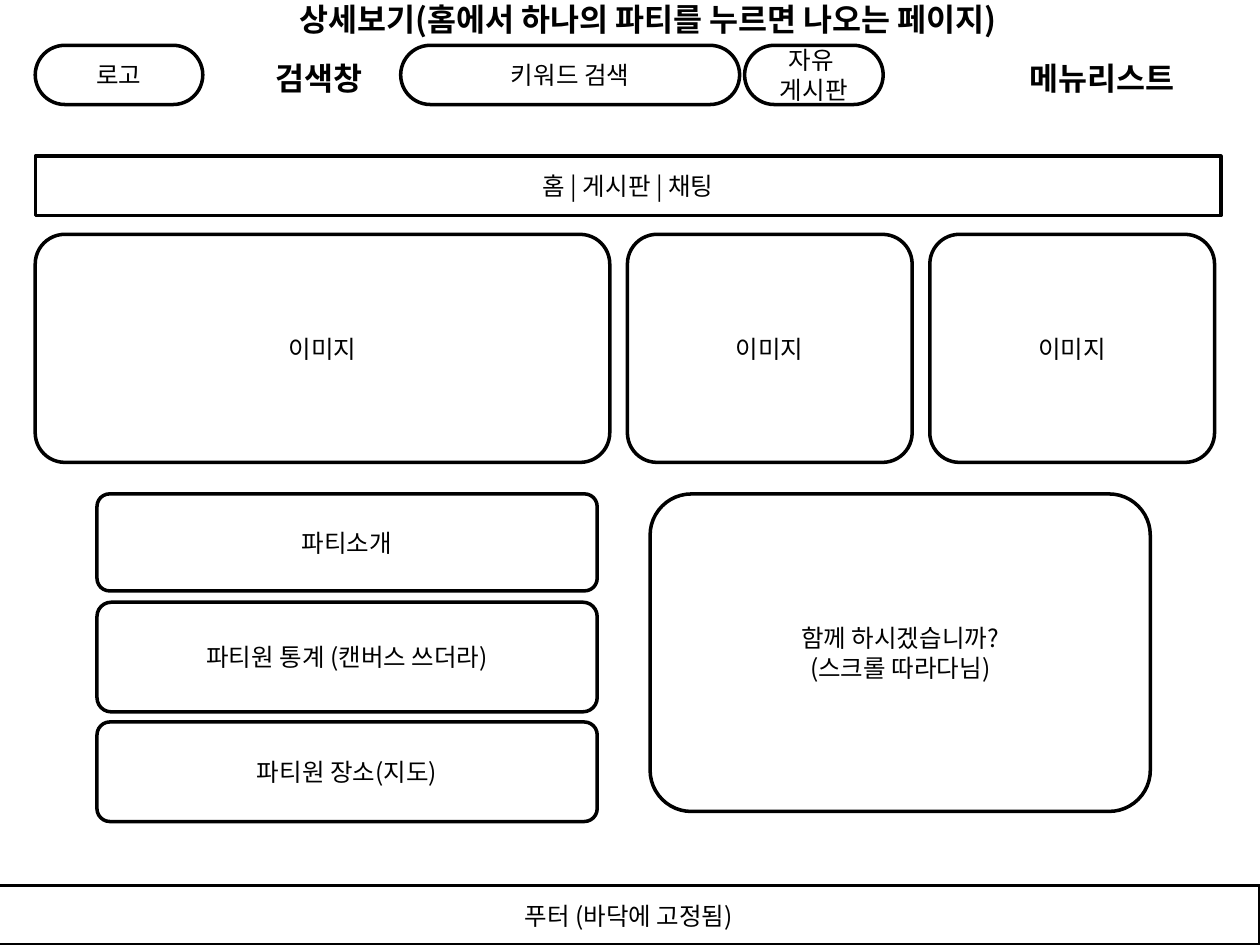
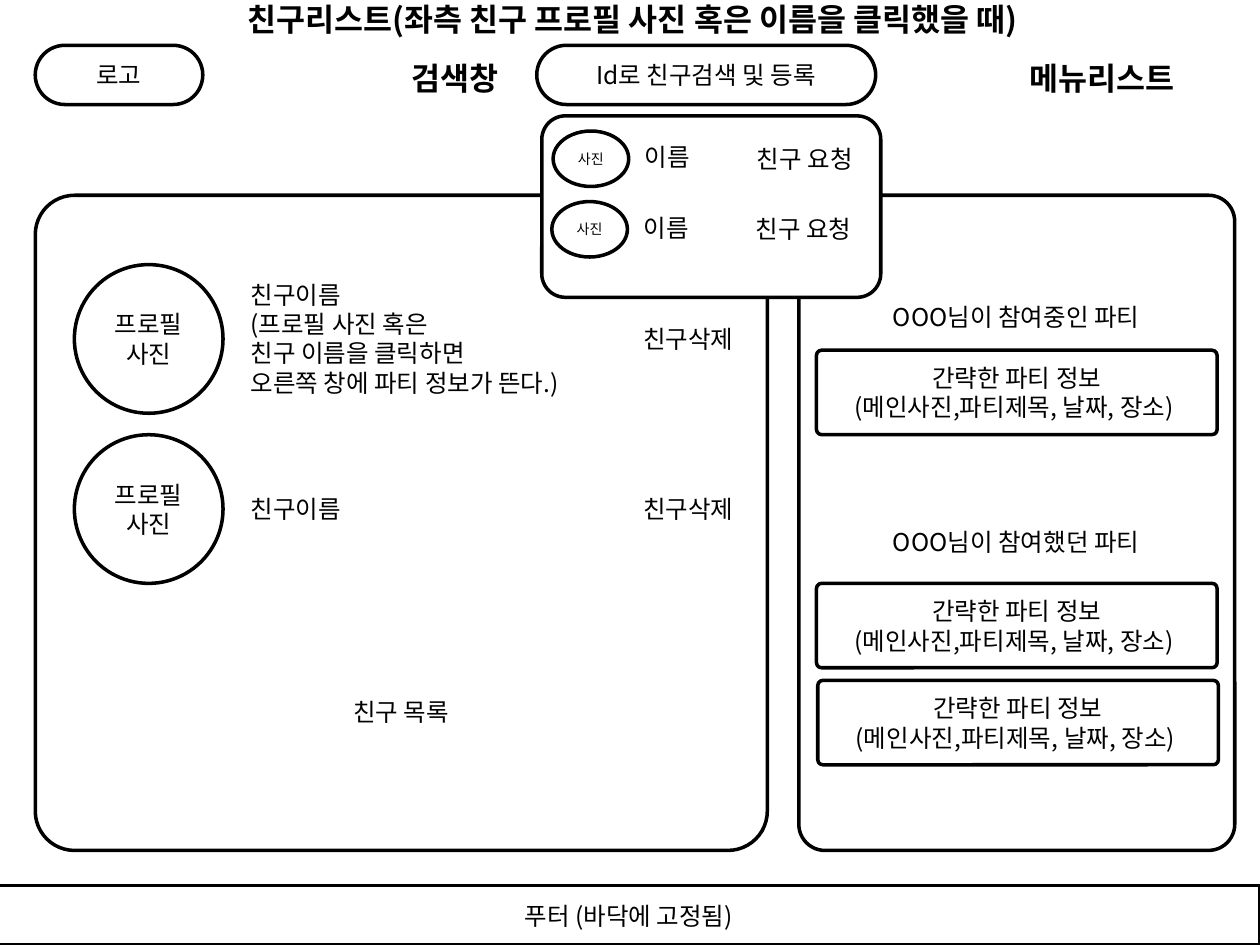
import lxml.etree
import pptx
import pptx.dml.color
import pptx.enum.shapes
import pptx.enum.text
import pptx.oxml.ns
import pptx.util

BLACK = pptx.dml.color.RGBColor(0x00, 0x00, 0x00)
WHITE = pptx.dml.color.RGBColor(0xFF, 0xFF, 0xFF)
FONT = "Noto Sans CJK KR"
LEFT, CENTER, RIGHT = (pptx.enum.text.PP_ALIGN.LEFT, pptx.enum.text.PP_ALIGN.CENTER,
                       pptx.enum.text.PP_ALIGN.RIGHT)
MIDDLE = pptx.enum.text.MSO_ANCHOR.MIDDLE
ROUND = pptx.enum.shapes.MSO_SHAPE.ROUNDED_RECTANGLE
OVAL = pptx.enum.shapes.MSO_SHAPE.OVAL

# Corner roundness
SQUARE, SLIGHT, SOFT, PILL = 0, 0.06, 0.13, 0.5

deck = pptx.Presentation()
deck.slide_width = pptx.util.Inches(10)
deck.slide_height = pptx.util.Inches(7.5)

# Grid of 100 columns by 75 rows
COLUMN = deck.slide_width / 100
ROW = deck.slide_height / 75

# Places shared by both pages
MARGIN = 2.8
HEADER_TOP, BAR_ROWS = 3.6, 4.7
SEARCH_COLUMNS = 26.9
LABEL_COLUMNS = 21.7


def write(shape, text, size, align, bold=False):
    frame = shape.text_frame
    frame.word_wrap = True
    frame.text = text
    for paragraph in frame.paragraphs:
        paragraph.alignment = align
        paragraph.font.size = pptx.util.Pt(size)
        paragraph.font.bold = bold
        paragraph.font.name = FONT
        paragraph.font.color.rgb = BLACK
        defaults = paragraph._p.pPr.find(pptx.oxml.ns.qn("a:defRPr"))
        lxml.etree.SubElement(defaults, pptx.oxml.ns.qn("a:ea"), typeface=FONT)


def draw(slide, kind, column, row, columns, rows, text="", corner=None,
         size=14, align=CENTER, bold=False):
    """Draw an outlined shape, or a bare label when kind is None."""
    place = [round(n) for n in (column * COLUMN, row * ROW, columns * COLUMN, rows * ROW)]
    if kind is None:
        shape = slide.shapes.add_textbox(*place)
    else:
        shape = slide.shapes.add_shape(kind, *place)
        shape.shadow.inherit = False
        shape.fill.solid()
        shape.fill.fore_color.rgb = WHITE
        shape.line.color.rgb = BLACK
        shape.line.width = pptx.util.Pt(2)
        shape.text_frame.vertical_anchor = MIDDLE
        if corner is not None:
            shape.adjustments[0] = corner
    if text:
        write(shape, text, size, align, bold)
    return shape


# Header and footer of both pages
pages = []
for title, title_column, title_columns, title_align, search_hint, search_column in (
    ("상세보기(홈에서 하나의 파티를 누르면 나오는 페이지)", 22.8, 68.7, LEFT,
     "키워드 검색", 31.8),
    ("친구리스트(좌측 친구 프로필 사진 혹은 이름을 클릭했을 때)", 13.8, 72.8, CENTER,
     "Id로 친구검색 및 등록", 42.6),
):
    page = deck.slides.add_slide(deck.slide_layouts[6])
    draw(page, ROUND, search_column, HEADER_TOP, SEARCH_COLUMNS, BAR_ROWS, search_hint, PILL)
    draw(page, ROUND, MARGIN, HEADER_TOP, 13.3, BAR_ROWS, "로고", PILL)
    draw(page, None, title_column, -0.5, title_columns, 4, title,
         size=18, align=title_align, bold=True)
    for heading, column in (("검색창", search_column - 10.9), ("메뉴리스트", 80.7)):
        draw(page, None, column, 4.2, LABEL_COLUMNS, 4, heading,
             size=18, align=LEFT, bold=True)
    draw(page, ROUND, -0.2, 75 - BAR_ROWS, 100.2, BAR_ROWS, "푸터 (바닥에 고정됨)", SQUARE)
    pages.append(page)
detail, friends = pages

# Detail page: board button and navigation
draw(detail, ROUND, 59.1, HEADER_TOP, 11, BAR_ROWS, "자유 \n게시판", PILL)
draw(detail, ROUND, MARGIN, 12.4, 94.1, BAR_ROWS, "홈 | 게시판 | 채팅", SQUARE)

# Detail page: image row
image_column = MARGIN
for image_columns in (45.6, 22.6, 22.6):
    draw(detail, ROUND, image_column, 18.6, image_columns, 18.1, "이미지", SOFT)
    image_column += image_columns + 1.4

# Detail page: party sections and the join panel
for section, row, rows in (("파티소개", 39.2, 7.7),
                           ("파티원 통계 (캔버스 쓰더라)", 47.8, 8.7),
                           ("파티원 장소(지도)", 57.3, 7.9)):
    draw(detail, ROUND, 7.7, row, 39.7, rows, section, SOFT)
draw(detail, ROUND, 51.6, 39.2, 39.7, 25.2, "함께 하시겠습니까?\n(스크롤 따라다님)", SOFT)

# Friends page: friend list, captioned low in its panel
friend_list = draw(friends, ROUND, MARGIN, 15.5, 58.1, 52, "친구 목록", SLIGHT)
friend_list.text_frame.margin_top = round(30.4 * ROW)
friend_note = "친구이름\n(프로필 사진 혹은\n친구 이름을 클릭하면\n오른쪽 창에 파티 정보가 뜬다.)"
for row, friend, name_columns, name_rows in ((21, friend_note, 38.2, 10.4),
                                             (34.5, "친구이름", LABEL_COLUMNS, 3.4)):
    middle = row + 5.9
    draw(friends, OVAL, 5.9, row, 11.8, 11.8, "프로필\n사진")
    draw(friends, None, 18.9, middle - name_rows / 2, name_columns, name_rows,
         friend, align=LEFT)
    draw(friends, None, 37.5, middle - 1.7, LABEL_COLUMNS, 3.4, "친구삭제", align=RIGHT)

# Friends page: parties of the chosen friend
draw(friends, ROUND, 63.4, 15.5, 34.6, 52, corner=SLIGHT)
for heading, row in (("OOO님이 참여중인 파티", 23.5), ("OOO님이 참여했던 파티", 41.3)):
    draw(friends, None, 65.7, row, 29.9, 3.4, heading)
for column, row in ((64.8, 27.8), (64.8, 46.3), (64.9, 54)):
    draw(friends, ROUND, column, row, 31.8, 6.7,
         "간략한 파티 정보\n(메인사진,파티제목, 날짜, 장소) ", SLIGHT)

# Friends page: search results on top
draw(friends, ROUND, 43, 9.2, SEARCH_COLUMNS, 14.4, corner=SOFT)
for column, row in ((43.9, 10.4), (43.8, 16)):
    draw(friends, OVAL, column, row, 6, 4.4, "사진", size=8)
    draw(friends, None, column + 6.3, row + 0.4, LABEL_COLUMNS, 3.4, "이름", align=LEFT)
    draw(friends, None, column + 15.2, row + 0.5, LABEL_COLUMNS, 3.4, "친구 요청", align=LEFT)

deck.save("out.pptx")
